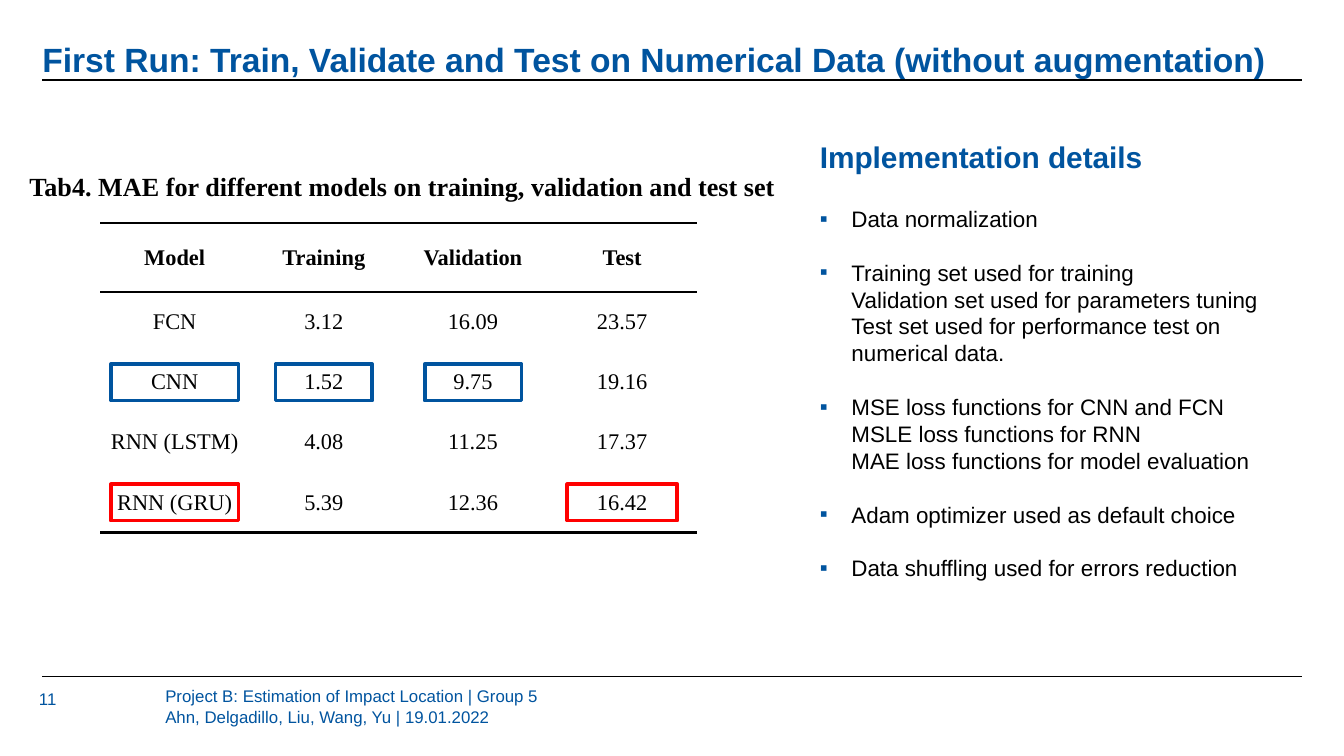
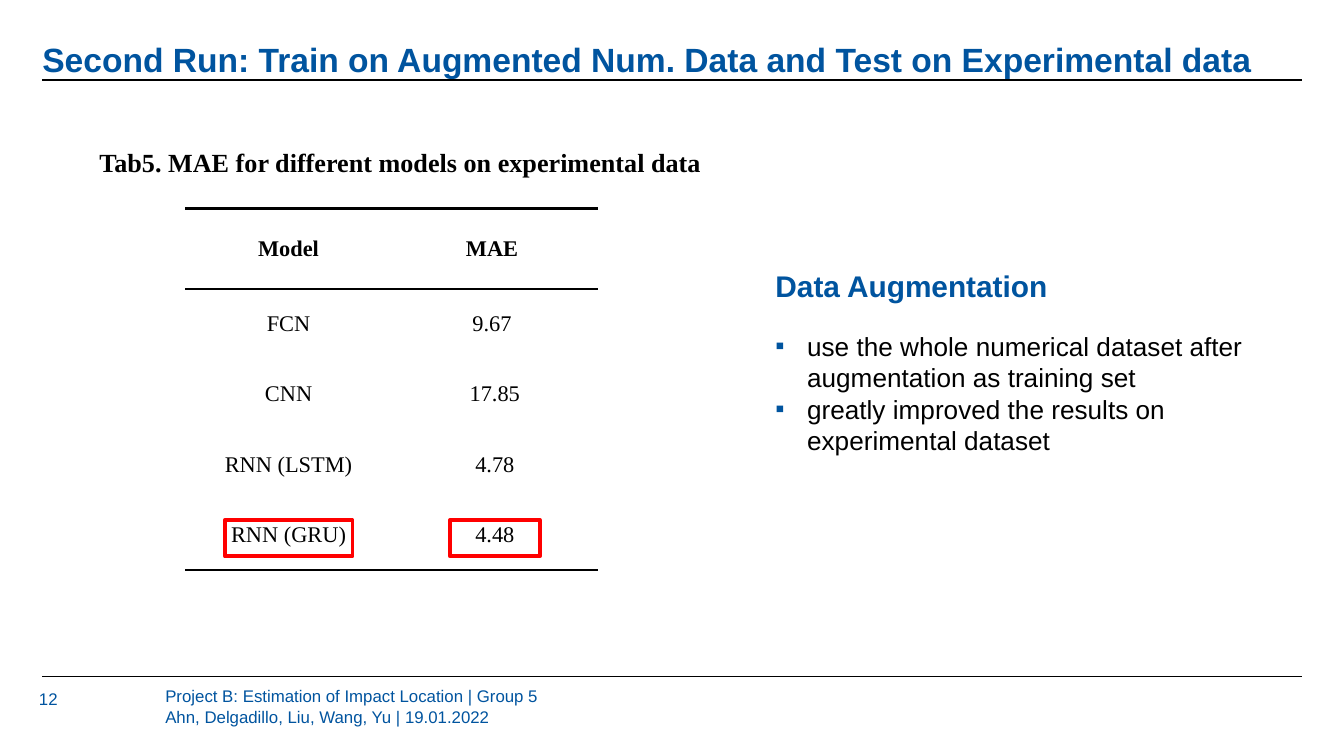
"""Build two result slides, each with an error table, highlighted winners and notes."""
from lxml.etree import SubElement
from pptx import Presentation
from pptx.dml.color import RGBColor
from pptx.enum.shapes import MSO_CONNECTOR as LINE, MSO_SHAPE as SHAPE
from pptx.enum.text import MSO_ANCHOR as ANCHOR, MSO_AUTO_SIZE as AUTO, PP_ALIGN as ALIGN
from pptx.oxml.ns import qn
from pptx.util import Emu, Inches, Pt

CELL = Inches(0.1)
COLUMNS, ROWS = 100, 56.25
SANS, SERIF = "Arial", "Times New Roman"
BLUE, RED, BLACK = "00549F", "FF0000", "000000"
FOOTER = "Project B: Estimation of Impact Location | Group 5\nAhn, Delgadillo, Liu, Wang, Yu | 19.01.2022"
MARGIN, RIGHT = 3.15, 96.9
MARK_HEIGHT = 2.7


def grid(*cells):
    """Turn grid cells into slide lengths."""
    return [Emu(round(cell * CELL)) for cell in cells]


def color(value):
    """Turn a hex string into a colour."""
    return RGBColor.from_string(value)


runs = [
    {
        "number": "11",
        "title": "First Run: Train, Validate and Test on Numerical Data (without augmentation)",
        "caption": "Tab4. MAE for different models on training, validation and test set",
        "caption_at": (1.2, 12.2),
        "table_at": (7.45, 16.6),
        "column": 11.1, "header": 5.15, "row": 4.47,
        "results": [
            ("Model", "Training", "Validation", "Test"),
            ("FCN", "3.12", "16.09", "23.57"),
            ("CNN", "1.52", "9.75", "19.16"),
            ("RNN (LSTM)", "4.08", "11.25", "17.37"),
            ("RNN (GRU)", "5.39", "12.36", "16.42"),
        ],
        "marks": [(4, 0, 9.5, RED), (4, 3, 8.2, RED), (2, 0, 9.5, BLUE), (2, 1, 7.2, BLUE), (2, 2, 7.2, BLUE)],
        "mark_drop": 0,
        "heading": "Implementation details",
        "notes": [
            "Data normalization",
            "Training set used for training\nValidation set used for parameters tuning\n"
            "Test set used for performance test on numerical data.",
            "MSE loss functions for CNN and FCN\nMSLE loss functions for RNN\nMAE loss functions for model evaluation",
            "Adam optimizer used as default choice",
            "Data shuffling used for errors reduction",
        ],
        "notes_at": (60, 9.8, 36.9, 34.3),
        "notes_size": 12, "heading_gap": 16.5, "note_gap": 14.4,
    },
    {
        "number": "12",
        "title": "Second Run: Train on Augmented Num. Data and Test on Experimental data",
        "caption": "Tab5. MAE for different models on experimental data",
        "caption_at": (6.4, 10.4),
        "table_at": (13.8, 15.5),
        "column": 15.35, "header": 6, "row": 5.23,
        "results": [
            ("Model", "MAE "),
            ("FCN", "9.67 "),
            ("CNN", "17.85"),
            ("RNN (LSTM)", "4.78"),
            ("RNN (GRU)", "4.48"),
        ],
        "marks": [(4, 0, 9.5, RED), (4, 1, 6.7, RED)],
        "mark_drop": 0.25,
        "heading": "Data Augmentation",
        "notes": [
            "use the whole numerical dataset after augmentation as training set",
            "greatly improved the results on experimental dataset",
        ],
        "notes_at": (56.7, 19.4, 40.2, 15.1),
        "notes_size": 14, "heading_gap": 14.4, "note_gap": 0,
    },
]

deck = Presentation()
deck.slide_width, deck.slide_height = grid(COLUMNS, ROWS)

for run in runs:
    slide = deck.slides.add_slide(deck.slide_layouts[1])
    shapes = slide.shapes
    styled = []

    for level in (5.95, 50.35):
        rule = shapes.add_connector(LINE.STRAIGHT, *grid(MARGIN, level, RIGHT, level))
        rule.line.color.rgb = color(BLACK)
        rule.line.width = Pt(0.75)
        SubElement(rule._element.spPr, qn("a:effectLst"))

    title, body = shapes.title, slide.placeholders[1]
    title.left, title.top, title.width, title.height = grid(MARGIN, 1.45, RIGHT - MARGIN, 4.5)
    body.left, body.top, body.width, body.height = grid(*run["notes_at"])
    number = shapes.add_textbox(*grid(2.9, 51.25, 8, 4.3))
    footer = shapes.add_textbox(*grid(12.3, 51.05, 46.5, 4.7))
    caption = shapes.add_textbox(*grid(*run["caption_at"], 63.8, 3.4))

    for box, words, inset, font, size, shade, bold in (
        (title, run["title"], (0, 0), SANS, 18, BLUE, True),
        (body, run["heading"], (1, 0.5), SANS, 16, BLUE, True),
        (number, run["number"], (0, 0), SANS, 9, BLUE, False),
        (footer, FOOTER, (0, 0), SANS, 9, BLUE, False),
        (caption, run["caption"], (1, 0.5), SERIF, 14, BLACK, True),
    ):
        frame = box.text_frame
        frame.word_wrap = True
        frame.auto_size = AUTO.NONE
        frame.vertical_anchor = ANCHOR.BOTTOM if box is title else ANCHOR.TOP
        frame.margin_left, frame.margin_top = frame.margin_right, frame.margin_bottom = grid(*inset)
        paragraph = frame.paragraphs[0]
        paragraph.text = words
        paragraph.alignment = ALIGN.LEFT
        paragraph.space_before = Pt(0)
        styled.append((paragraph, font, size, shade, bold))
    title.text_frame.paragraphs[0].line_spacing = 0.9

    heading_format = body.text_frame.paragraphs[0]._p.get_or_add_pPr()
    heading_format.set("marL", "0")
    heading_format.set("indent", "0")
    SubElement(heading_format, qn("a:buNone"))

    for index, words in enumerate(run["notes"]):
        note = body.text_frame.add_paragraph()
        note.text = words
        note_format = note._p.get_or_add_pPr()
        indent, = grid(2.35)
        note_format.set("marL", str(indent))
        note_format.set("indent", str(-indent))
        bullet_color = SubElement(note_format, qn("a:buClr"))
        SubElement(bullet_color, qn("a:srgbClr"), val=BLUE)
        SubElement(note_format, qn("a:buFont"), typeface=SANS)
        SubElement(note_format, qn("a:buChar"), char="▪")
        note.alignment = ALIGN.LEFT
        note.space_before = Pt(run["note_gap"] if index else run["heading_gap"])
        styled.append((note, SANS, run["notes_size"], BLACK, False))

    results = run["results"]
    column, header, row = run["column"], run["header"], run["row"]
    table_left, table_top = run["table_at"]
    last = len(results) - 1
    table_size = (column * len(results[0]), header + row * last)
    table = shapes.add_table(len(results), len(results[0]), *grid(table_left, table_top, *table_size)).table
    table.first_row = table.horz_banding = False
    for table_column in table.columns:
        table_column.width, = grid(column)
    for r, values in enumerate(results):
        table.rows[r].height, = grid(row if r else header)
        ruled = {"a:lnT": r in (0, 1), "a:lnB": r in (0, last)}
        for c, value in enumerate(values):
            cell = table.cell(r, c)
            cell.text = value
            cell.vertical_anchor = ANCHOR.MIDDLE
            cell.margin_left, cell.margin_top = cell.margin_right, cell.margin_bottom = grid(0.7, 0)
            cell_format = cell._tc.get_or_add_tcPr()
            for side in ("a:lnL", "a:lnR", "a:lnT", "a:lnB"):
                border = SubElement(cell_format, qn(side), w=str(Pt(1.5)))
                if ruled.get(side):
                    SubElement(SubElement(border, qn("a:solidFill")), qn("a:srgbClr"), val=BLACK)
                else:
                    SubElement(border, qn("a:noFill"))
            cell.fill.background()
            paragraph = cell.text_frame.paragraphs[0]
            paragraph.alignment = ALIGN.CENTER
            styled.append((paragraph, SERIF, 12, BLACK, r == 0))

    for r, c, width, shade in run["marks"]:
        center = table_left + column * (c + 0.5)
        middle = table_top + header + row * (r - 0.5) + run["mark_drop"]
        mark = shapes.add_shape(
            SHAPE.RECTANGLE, *grid(center - width / 2, middle - MARK_HEIGHT / 2, width, MARK_HEIGHT))
        mark.shadow.inherit = False
        mark.fill.background()
        mark.line.color.rgb = color(shade)
        mark.line.width = Pt(2)

    for paragraph, font, size, shade, bold in styled:
        paragraph.font.name = font
        paragraph.font.size = Pt(size)
        paragraph.font.bold = bold
        paragraph.font.color.rgb = color(shade)

deck.save("out.pptx")
